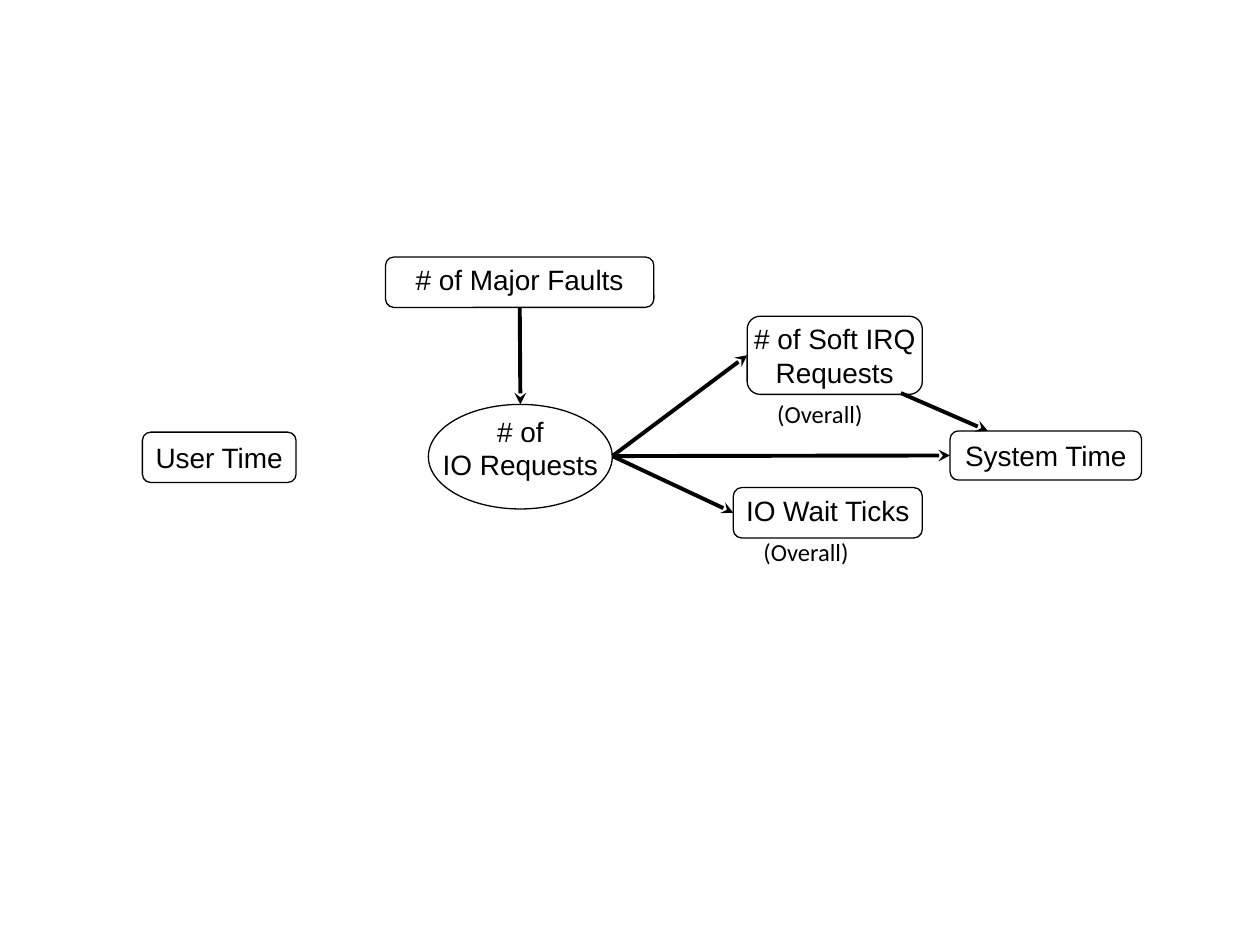
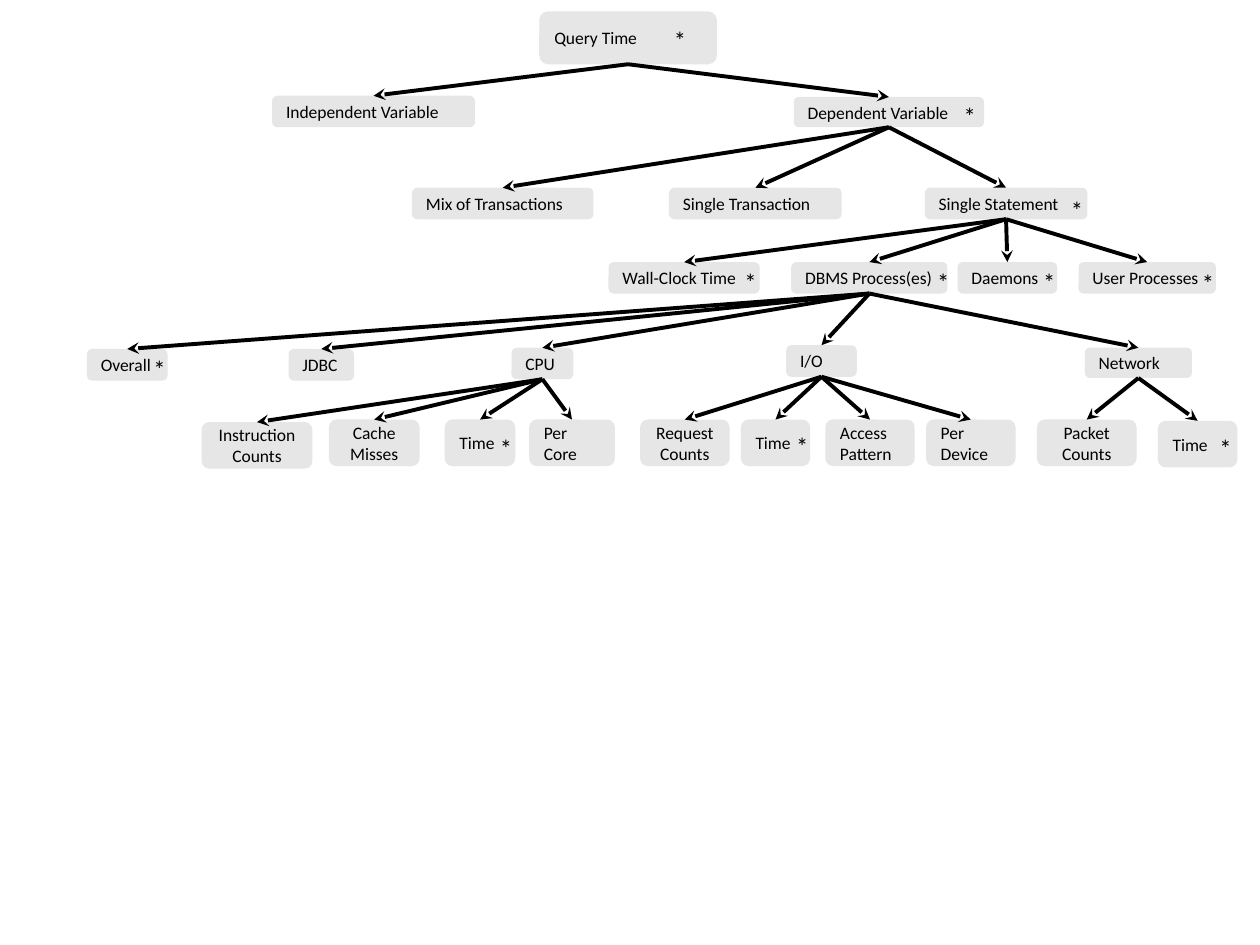
import dataclasses

import lxml.etree
import pptx
import pptx.dml.color
import pptx.enum.shapes
import pptx.enum.text
import pptx.oxml
import pptx.oxml.ns
import pptx.util

Inches = pptx.util.Inches
Shape = pptx.enum.shapes.MSO_SHAPE
Align = pptx.enum.text.PP_ALIGN

BLACK = pptx.dml.color.RGBColor(0x00, 0x00, 0x00)
GREY = pptx.dml.color.RGBColor(0xE6, 0xE6, 0xE6)

TOP, LEFT, BOTTOM, RIGHT = range(4)


@dataclasses.dataclass
class Node:
    text: str
    left: float
    top: float
    width: float
    height: float = 0.25
    star: tuple = None
    align: Align = Align.LEFT
    children: tuple = ()


class Page:
    def __init__(self, deck):
        self.slide = deck.slides.add_slide(deck.slide_layouts[6])

    def set_text(self, frame, text, font, size, align):
        frame.text = text
        for para in frame.paragraphs:
            para.alignment = align
            para.font.name = font
            para.font.size = pptx.util.Pt(size)
            para.font.color.rgb = BLACK

    def shape(self, kind, left, top, width, height):
        box = self.slide.shapes.add_shape(
            kind, Inches(left), Inches(top), Inches(width), Inches(height))
        box.shadow.inherit = False
        frame = box.text_frame
        frame.word_wrap = False
        frame.vertical_anchor = pptx.enum.text.MSO_ANCHOR.MIDDLE
        return box

    def outlined(self, text, left, top, width, height,
                 kind=Shape.ROUNDED_RECTANGLE, lift=0):
        box = self.shape(kind, left, top, width, height)
        box.fill.background()
        box.line.color.rgb = BLACK
        box.line.width = pptx.util.Pt(0.75)
        frame = box.text_frame
        frame.margin_top = 0
        frame.margin_bottom = Inches(2 * lift)
        self.set_text(frame, text, "Arial", 16, Align.CENTER)
        return box

    def filled(self, node):
        box = self.shape(Shape.ROUNDED_RECTANGLE,
                         node.left, node.top, node.width, node.height)
        box.fill.solid()
        box.fill.fore_color.rgb = GREY
        box.line.fill.background()
        self.set_text(box.text_frame, node.text, "Calibri", 10, node.align)
        return box

    def note(self, text, left, top, width):
        box = self.slide.shapes.add_textbox(
            Inches(left), Inches(top), Inches(width), Inches(0.34))
        box.text_frame.word_wrap = True
        self.set_text(box.text_frame, text, "Calibri", 14, Align.LEFT)

    def arrow(self, start, end, source=None, target=None):
        line = self.slide.shapes.add_connector(
            pptx.enum.shapes.MSO_CONNECTOR.STRAIGHT,
            *(Inches(value) for value in (*start, *end)))
        if source:
            line.begin_connect(*source)
        if target:
            line.end_connect(*target)
        line.line.color.rgb = BLACK
        line.line.width = pptx.util.Pt(2.25)
        properties = line.element.spPr
        qn = pptx.oxml.ns.qn
        outline = properties.find(qn("a:ln"))
        lxml.etree.SubElement(outline, qn("a:tailEnd"), type="stealth")
        lxml.etree.SubElement(properties, qn("a:effectLst"))

    def tree(self, node):
        box = self.filled(node)
        for child in node.children:
            child_box = self.tree(child)
            self.arrow((0, 0), (0, 0), (box, BOTTOM), (child_box, TOP))
        if node.star:
            self.note("*", *node.star, 0.34)
        return box


def leaf(text, left, width, top=3.33, star=None, align=Align.LEFT):
    return Node(text, left, top, width, 0.37, star, align)


CPU = Node("CPU", 4.06, 2.76, 0.49, children=(
    leaf("Instruction\nCounts", 1.6, 0.88, 3.35, align=Align.CENTER),
    leaf("Cache\nMisses", 2.61, 0.72, align=Align.CENTER),
    leaf("Time", 3.53, 0.56, star=(3.87, 3.39)),
    leaf("Per\vCore", 4.2, 0.68),
))

DISK = Node("I/O", 6.24, 2.74, 0.56, children=(
    leaf("Request\nCounts", 5.08, 0.71, align=Align.CENTER),
    leaf("Time", 5.88, 0.55, star=(6.22, 3.37)),
    leaf("Access\vPattern", 6.55, 0.71),
    leaf("Per\nDevice", 7.35, 0.71),
))

NETWORK = Node("Network", 8.61, 2.76, 0.85, 0.24, children=(
    leaf("Packet\nCounts", 8.23, 0.79, align=Align.CENTER),
    leaf("Time", 9.19, 0.63, 3.34, star=(9.58, 3.39)),
))

PROCESSES = Node("DBMS Process(es)", 6.28, 2.08, 1.24, star=(7.34, 2.07), children=(
    Node("Overall", 0.69, 2.77, 0.64, star=(1.12, 2.76)),
    Node("JDBC", 2.29, 2.77, 0.52),
    CPU, DISK, NETWORK,
))

STATEMENT = Node("Single Statement", 7.34, 1.49, 1.29, star=(8.4, 1.5), children=(
    Node("Wall-Clock Time", 4.83, 2.08, 1.2, star=(5.81, 2.07)),
    PROCESSES,
    Node("Daemons", 7.6, 2.08, 0.79, star=(8.18, 2.07)),
    Node("User Processes", 8.56, 2.08, 1.09, star=(9.44, 2.08)),
))

DEPENDENT = Node("Dependent Variable", 6.3, 0.77, 1.51, 0.24, (7.55, 0.75), children=(
    Node("Mix of Transactions", 3.27, 1.49, 1.44),
    Node("Single Transaction", 5.31, 1.49, 1.37),
    STATEMENT,
))

QUERY_TIME = Node("Query Time", 4.28, 0.09, 1.41, 0.42, (5.25, 0.15), children=(
    Node("Independent Variable", 2.16, 0.76, 1.61),
    DEPENDENT,
))


def build_causes(deck):
    page = Page(deck)
    page.outlined("User Time", 1.13, 3.43, 1.22, 0.4)
    faults = page.outlined("# of Major Faults", 3.06, 2.04, 2.13, 0.4, lift=0.02)
    requests = page.outlined("# of\nIO Requests", 3.4, 3.21, 1.46, 0.83,
                             Shape.OVAL, lift=0.07)
    soft_irq = page.outlined("# of Soft IRQ\nRequests", 5.93, 2.51, 1.39, 0.62)
    wait_ticks = page.outlined("IO Wait Ticks", 5.82, 3.87, 1.5, 0.4, lift=0.02)
    system_time = page.outlined("System Time", 7.54, 3.42, 1.52, 0.39)

    page.arrow((4.13, 2.44), (4.13, 3.21), (faults, BOTTOM), (requests, TOP))
    for effect in (soft_irq, system_time, wait_ticks):
        page.arrow((4.86, 3.62), (0, 0), target=(effect, LEFT))
    page.arrow((7.15, 3.12), (7.84, 3.42))

    page.note("(Overall)", 6.07, 3.12, 1.08)
    page.note("(Overall)", 5.96, 4.21, 1.08)


def main():
    deck = pptx.Presentation()
    deck.slide_width = Inches(10)
    deck.slide_height = Inches(7.5)
    build_causes(deck)
    Page(deck).tree(QUERY_TIME)
    deck.save("out.pptx")


if __name__ == "__main__":
    main()
